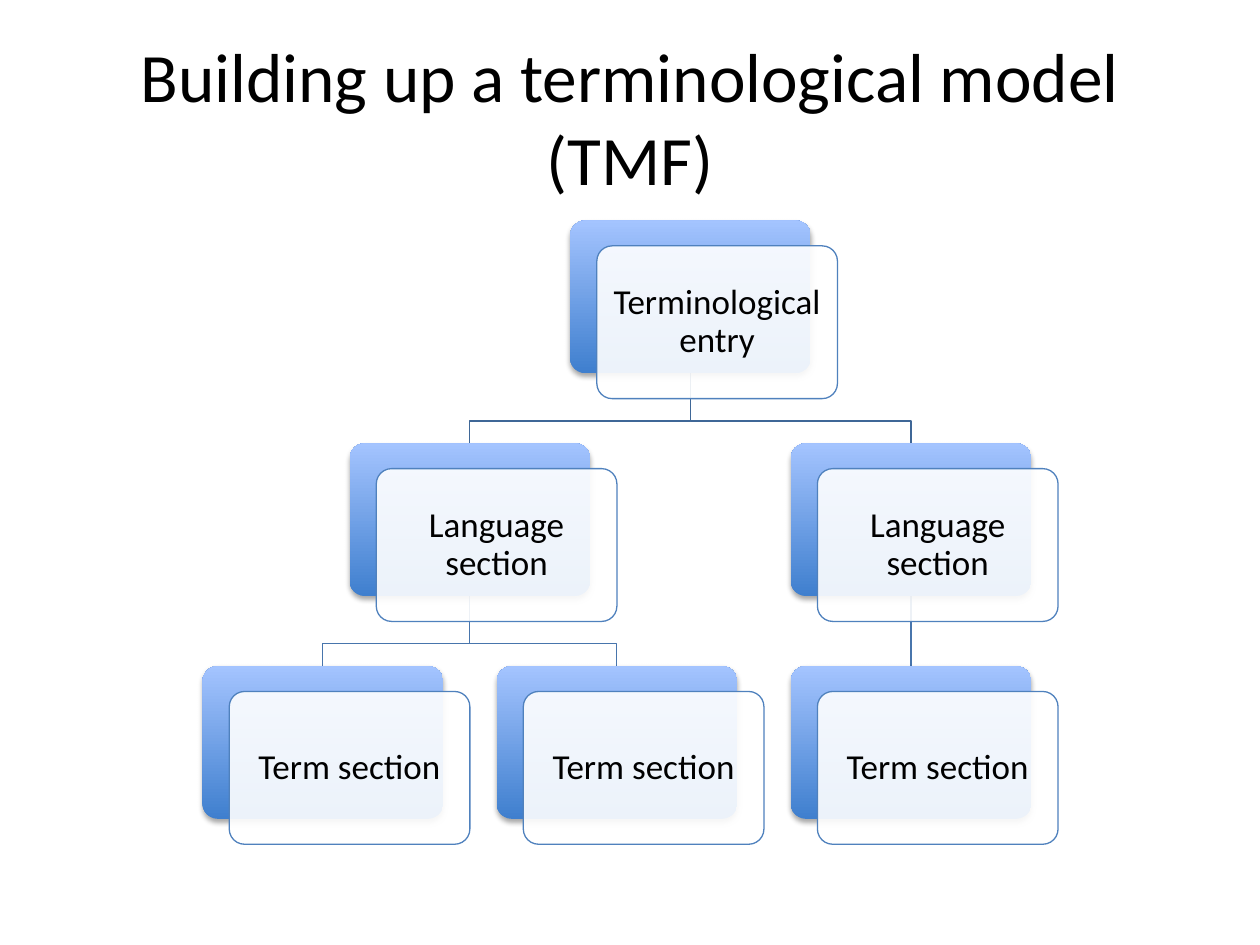
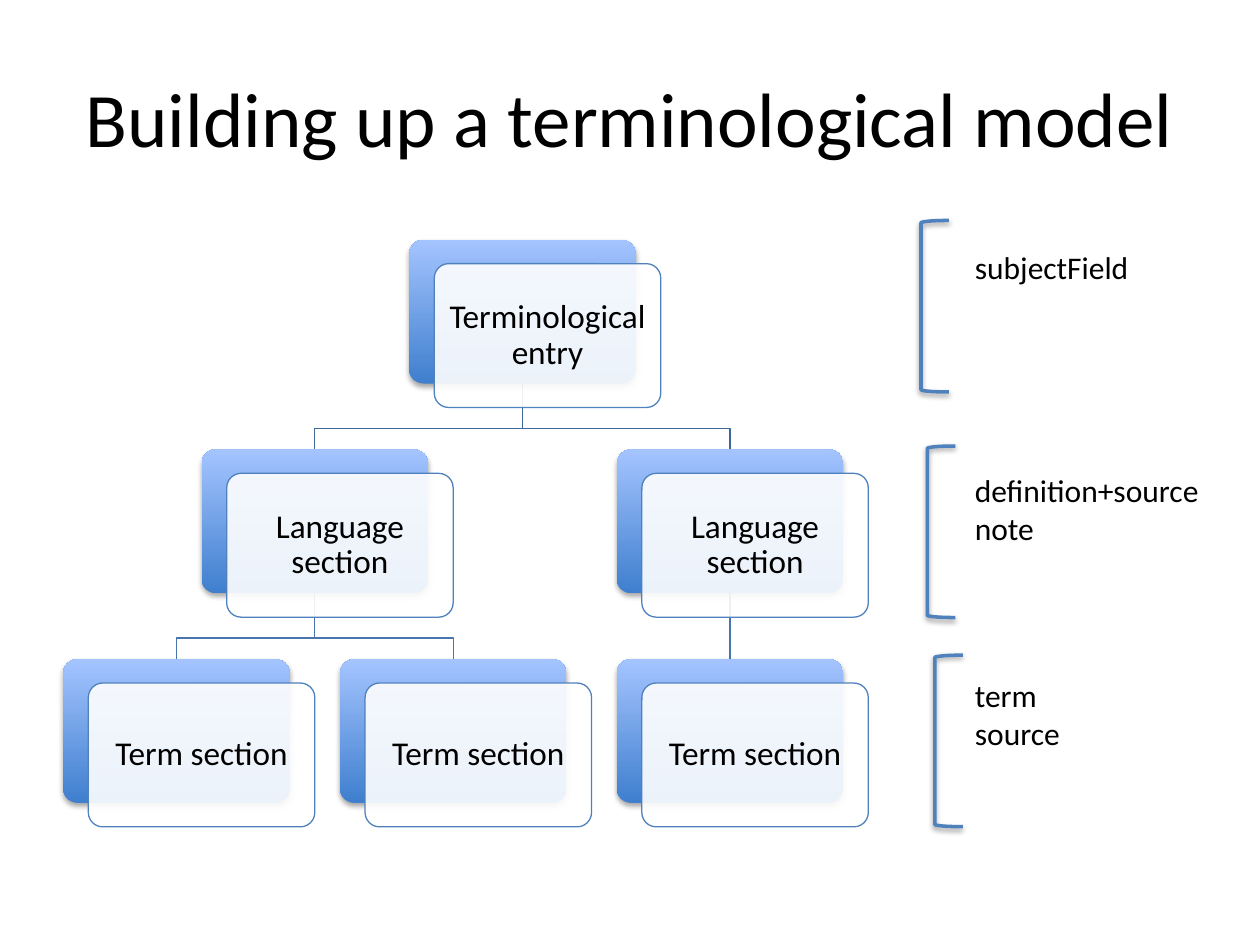
"""Two slides showing a terminological model as a tree, the second with its data categories."""
from lxml.etree import SubElement
from pptx import Presentation
from pptx.dml.color import RGBColor
from pptx.enum.shapes import MSO_CONNECTOR, MSO_SHAPE
from pptx.enum.text import MSO_ANCHOR, MSO_AUTO_SIZE, PP_ALIGN
from pptx.oxml.ns import qn
from pptx.util import Pt

FONT = "Calibri"
BLACK, WHITE, BLUE = "000000", "FFFFFF", "4F81BD"
NODE_GRADIENT = ("3F7FCE", "A4C4FF")
LEVEL_LINES = ("3F6797", "4875AC")

NODES = {
    "entry": ("Terminological entry", 1.25, 0),
    "language 1": ("Language section", 0.5, 1),
    "term 1": ("Term section", 0, 2),
    "term 2": ("Term section", 1, 2),
    "language 2": ("Language section", 2, 1),
    "term 3": ("Term section", 2, 2),
}
BRANCHES = [
    ("language 2", "term 3"),
    ("entry", "language 2"),
    ("language 1", "term 2"),
    ("language 1", "term 1"),
    ("entry", "language 1"),
]
CATEGORIES = [
    (["subjectField"], 526.3, 126, 138.2, 103),
    (["definition+source", "note"], 529.9, 254.9, 265.7, 144),
    (["term", "source"], 534.2, 374.4, 383, 63.4),
]
SLIDES = [
    {"title": "Building up a terminological model (TMF)", "title size": 39.6,
     "tree": (115.7, 126, 137.5, 20), "categories": []},
    {"title": "Building up a terminological model", "title size": 44,
     "tree": (36.1, 137, 129.4, 19), "categories": CATEGORIES},
]


def color(value):
    return RGBColor.from_string(value)


def points(*lengths):
    return [Pt(length) for length in lengths]


def write(frame, lines, size, align=PP_ALIGN.LEFT, spacing=None):
    for index, line in enumerate(lines):
        paragraph = frame.add_paragraph() if index else frame.paragraphs[0]
        paragraph.alignment = align
        paragraph.line_spacing = spacing
        run = paragraph.add_run()
        run.text = line
        run.font.name, run.font.size = FONT, Pt(size)
        run.font.color.rgb = color(BLACK)


def set_line(shape, value, width):
    shape.line.color.rgb = color(value)
    shape.line.width = Pt(width)


def flatten(shape):
    effects = shape._element.spPr.find(qn("a:effectLst"))
    if effects is None:
        effects = SubElement(shape._element.spPr, qn("a:effectLst"))
    return effects


def cast_shadow(shape, opacity, distance):
    shape.shadow.inherit = False
    shadow = SubElement(flatten(shape), qn("a:outerShdw"), blurRad=str(Pt(3.1)),
                        dist=str(Pt(distance)), dir="5400000", rotWithShape="0")
    tone = SubElement(shadow, qn("a:srgbClr"), val=BLACK)
    SubElement(tone, qn("a:alpha"), val=str(opacity * 1000))


def add_title(slide, text, size):
    frame = slide.shapes.add_textbox(*points(36, 21.6, 648, 90)).text_frame
    frame.word_wrap = True
    frame.vertical_anchor = MSO_ANCHOR.MIDDLE
    write(frame, [text], size, PP_ALIGN.CENTER)


def add_branch(slide, start, end, level):
    (x1, y1), (x2, y2) = start, end
    if x1 == x2:
        branch = slide.shapes.add_connector(MSO_CONNECTOR.STRAIGHT, *points(x1, y1, x2, y2))
        flatten(branch)
    else:
        bend = y1 + 0.68 * (y2 - y1)
        outline = slide.shapes.build_freeform(Pt(x1), Pt(y1))
        outline.add_line_segments([points(x1, bend), points(x2, bend), points(x2, y2)], close=False)
        branch = outline.convert_to_shape()
        branch.fill.background()
        branch.shadow.inherit = False
    set_line(branch, LEVEL_LINES[level], 0.75)


def add_rounded(slide, x, y, width, height):
    shape = slide.shapes.add_shape(MSO_SHAPE.ROUNDED_RECTANGLE, *points(x, y, width, height))
    shape.adjustments[0] = 0.1
    return shape


def add_node(slide, text, x, y, width, height, size):
    back = add_rounded(slide, x, y, width, height)
    back.fill.gradient()
    back.fill.gradient_angle = 90
    for stop, value in zip(back.fill.gradient_stops, NODE_GRADIENT):
        stop.color.rgb = color(value)
    back.line.fill.background()
    cast_shadow(back, 35, 1.8)

    card = add_rounded(slide, x + width / 9, y + 0.1055 * width, width, height)
    card.shadow.inherit = False
    card.fill.solid()
    card.fill.fore_color.rgb = color(WHITE)
    tone = card._element.spPr.find(qn("a:solidFill")).find(qn("a:srgbClr"))
    SubElement(tone, qn("a:alpha"), val="90000")
    set_line(card, BLUE, 0.75)
    frame = card.text_frame
    frame.word_wrap = True
    frame.vertical_anchor = MSO_ANCHOR.MIDDLE
    frame.margin_left = frame.margin_right = frame.margin_top = frame.margin_bottom = Pt(6)
    write(frame, [text], size, PP_ALIGN.CENTER, 0.9)


def add_tree(slide, left, top, width, size):
    height, column_step, row_step = 0.635 * width, width * 11 / 9, 0.926 * width
    corners = {key: (left + column * column_step, top + row * row_step)
               for key, (_, column, row) in NODES.items()}
    for parent, child in BRANCHES:
        (x1, y1), (x2, y2) = corners[parent], corners[child]
        add_branch(slide, (x1 + width / 2, y1 + height), (x2 + width / 2, y2), NODES[parent][2])
    for key, (text, _, _) in NODES.items():
        add_node(slide, text, *corners[key], width, height, size)


def add_categories(slide, categories):
    for _, left, top, _, _ in categories:
        bracket = slide.shapes.add_shape(MSO_SHAPE.LEFT_BRACKET, *points(left, top, 16, 98))
        bracket.fill.background()
        set_line(bracket, BLUE, 2)
        cast_shadow(bracket, 38, 1.6)
    for names, _, _, top, width in categories:
        height = 7.2 + 22 * len(names)
        frame = slide.shapes.add_textbox(*points(550, top, width, height)).text_frame
        frame.word_wrap = False
        frame.auto_size = MSO_AUTO_SIZE.SHAPE_TO_FIT_TEXT
        write(frame, names, 18)


def main():
    deck = Presentation()
    deck.slide_width, deck.slide_height = points(720, 540)
    for content in SLIDES:
        slide = deck.slides.add_slide(deck.slide_layouts[6])
        add_title(slide, content["title"], content["title size"])
        add_tree(slide, *content["tree"])
        add_categories(slide, content["categories"])
    deck.save("out.pptx")


main()
